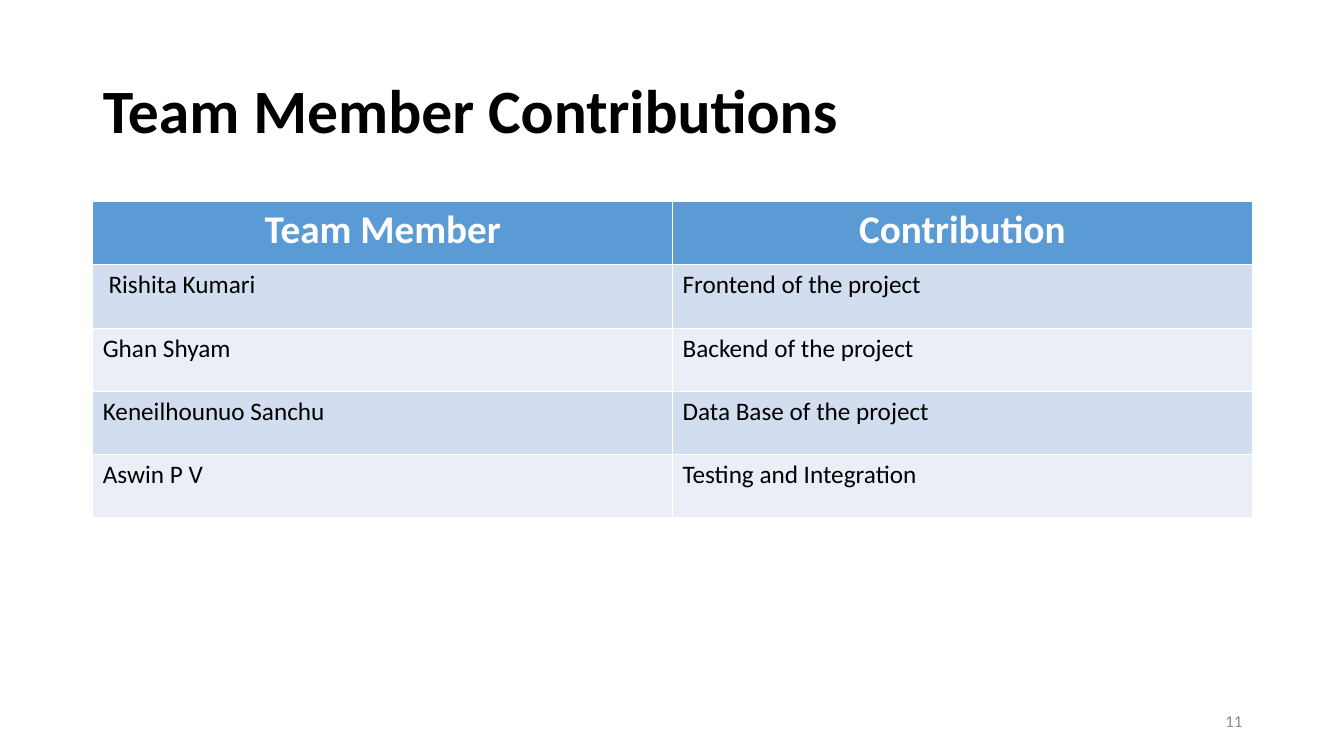
"""Build the team member contributions slide."""
from dataclasses import dataclass

from pptx import Presentation
from pptx import util as u
from pptx.dml import color
from pptx.enum import text


@dataclass(frozen=True)
class Theme:
    font: str = "Calibri"
    ink: str = "000000"
    header_ink: str = "FFFFFF"
    muted: str = "898989"
    header_fill: str = "5B9BD5"
    bands: tuple = ("D2DEEF", "EAEFF7")
    title_size: int = 44
    header_size: int = 28
    body_size: int = 18
    number_size: int = 12


theme = Theme()


def write(frame, words, size, ink, bold=False, align=text.PP_ALIGN.LEFT):
    frame.text = words
    paragraph = frame.paragraphs[0]
    paragraph.alignment = align
    paragraph.font.name = theme.font
    paragraph.font.size = u.Pt(size)
    paragraph.font.bold = bold
    paragraph.font.color.rgb = color.RGBColor.from_string(ink)
    return paragraph


def place(shape, left, top, width, height):
    shape.left, shape.top = u.Inches(left), u.Inches(top)
    shape.width, shape.height = u.Inches(width), u.Inches(height)


deck = Presentation()
deck.slide_width, deck.slide_height = u.Inches(13.33), u.Inches(7.5)
slide = deck.slides.add_slide(deck.slide_layouts[5])

title = slide.shapes.title
place(title, 0.92, 0.4, 11.5, 1.45)
title.text_frame.vertical_anchor = text.MSO_ANCHOR.MIDDLE
heading = write(title.text_frame, "Team Member Contributions", theme.title_size, theme.ink, bold=True)
heading.line_spacing = 0.9

contributions = [
    ("Team Member", "Contribution"),
    (" Rishita Kumari", "Frontend of the project"),
    ("Ghan Shyam", "Backend of the project"),
    ("Keneilhounuo Sanchu", "Data Base of the project"),
    ("Aswin P V", "Testing and Integration"),
]
table = slide.shapes.add_table(
    len(contributions), 2, u.Inches(0.92), u.Inches(2), u.Inches(11.5), u.Inches(3.14)
).table
for row, entry in enumerate(contributions):
    for column, words in enumerate(entry):
        cell = table.cell(row, column)
        cell.fill.solid()
        if row == 0:
            fill = theme.header_fill
            write(cell.text_frame, words, theme.header_size, theme.header_ink,
                  bold=True, align=text.PP_ALIGN.CENTER)
        else:
            fill = theme.bands[(row - 1) % 2]
            write(cell.text_frame, words, theme.body_size, theme.ink)
        cell.fill.fore_color.rgb = color.RGBColor.from_string(fill)

page_number = slide.shapes.add_textbox(u.Inches(9.42), u.Inches(6.95), u.Inches(3), u.Inches(0.4))
page_number.text_frame.word_wrap = True
page_number.text_frame.vertical_anchor = text.MSO_ANCHOR.MIDDLE
write(page_number.text_frame, "11", theme.number_size, theme.muted, align=text.PP_ALIGN.RIGHT)

deck.save("out.pptx")
